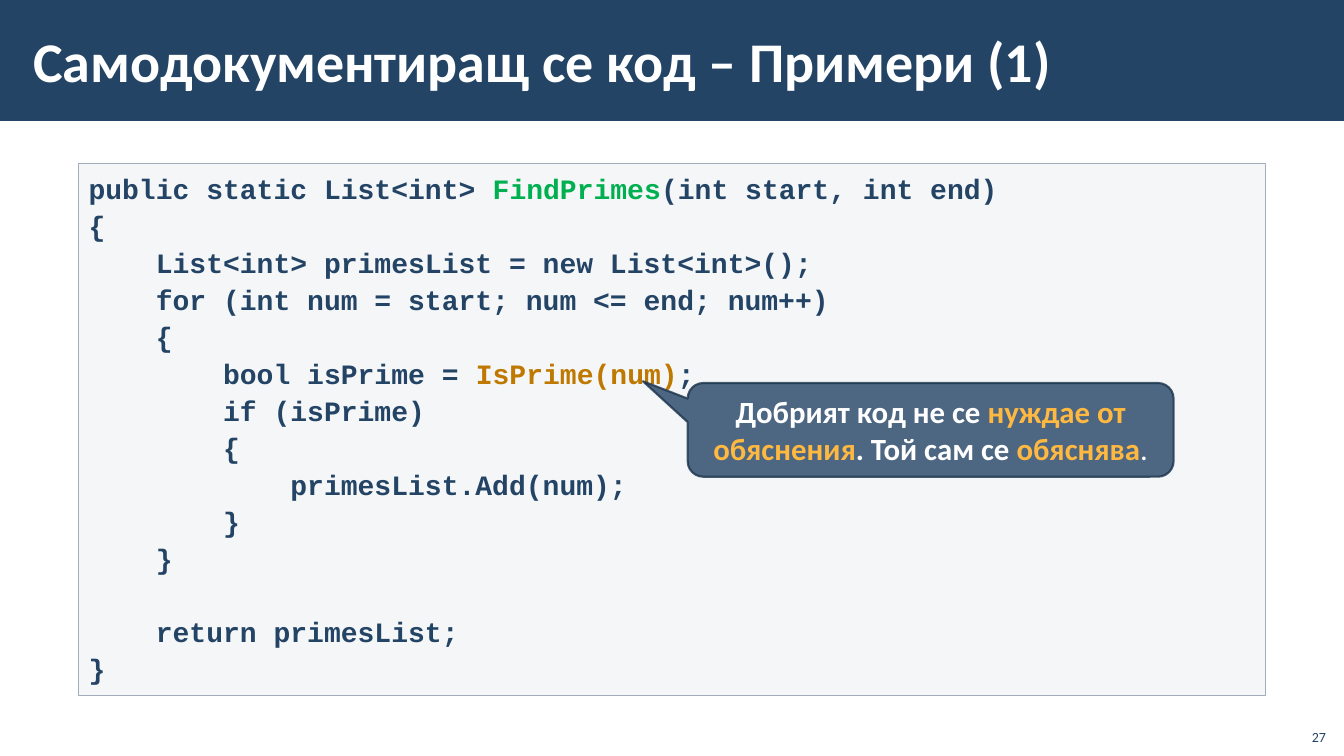
from dataclasses import dataclass
from typing import NamedTuple

from lxml import etree
from pptx import Presentation
from pptx.dml.color import RGBColor
from pptx.enum.shapes import MSO_SHAPE
from pptx.enum.text import MSO_ANCHOR, PP_ALIGN
from pptx.oxml.ns import qn
from pptx.util import Inches, Pt

RECTANGLE = MSO_SHAPE.RECTANGLE
CALLOUT = MSO_SHAPE.ROUNDED_RECTANGULAR_CALLOUT
TOP, MIDDLE, BOTTOM = MSO_ANCHOR.TOP, MSO_ANCHOR.MIDDLE, MSO_ANCHOR.BOTTOM
LEFT, CENTER, RIGHT = PP_ALIGN.LEFT, PP_ALIGN.CENTER, PP_ALIGN.RIGHT


@dataclass(frozen=True)
class Theme:
    navy: str = "234465"
    white: str = "FFFFFF"
    green: str = "00B050"
    amber: str = "BF7800"
    yellow: str = "FFB840"
    panel: str = "C2C7D2"
    panel_line: str = "A3ABBC"
    callout_line: str = "1A334B"
    body_font: str = "Calibri"
    code_font: str = "Courier New"
    title_size: int = 40
    code_size: int = 20
    callout_size: int = 22
    number_size: int = 10


THEME = Theme()


class Box(NamedTuple):
    left: float
    top: float
    width: float
    height: float


class Span(NamedTuple):
    text: str
    color: str
    bold: bool = True


class Paint(NamedTuple):
    color: str
    opacity: int = 100


class TextStyle(NamedTuple):
    font: str
    size: int
    align: PP_ALIGN = LEFT
    anchor: MSO_ANCHOR = TOP
    line_spacing: float = 1.0
    inset_x: float = 0.1
    inset_y: float = 0.05


def apply_paint(color_format, paint: Paint) -> None:
    """Set a solid colour and, when needed, its opacity."""
    color_format.rgb = RGBColor.from_string(paint.color)
    if paint.opacity < 100:
        for color in color_format._xFill.iter(qn("a:srgbClr")):
            etree.SubElement(color, qn("a:alpha"), val=str(paint.opacity * 1000))


def add_panel(slide, kind: MSO_SHAPE, box: Box, fill: Paint,
              line: Paint | None = None, line_width: float = 1):
    shape = slide.shapes.add_shape(kind, *map(Inches, box))
    shape.shadow.inherit = False
    shape.fill.solid()
    apply_paint(shape.fill.fore_color, fill)
    if line is None:
        shape.line.fill.background()
    else:
        shape.line.fill.solid()
        apply_paint(shape.line.fill.fore_color, line)
        shape.line.width = Pt(line_width)
    return shape


def write_text(shape, lines: list[list[Span]], style: TextStyle) -> None:
    text_frame = shape.text_frame
    text_frame.word_wrap = True
    text_frame.vertical_anchor = style.anchor
    text_frame.margin_left = text_frame.margin_right = Inches(style.inset_x)
    text_frame.margin_top = text_frame.margin_bottom = Inches(style.inset_y)
    text_frame.text = "\n".join(spans[0].text for spans in lines)
    for paragraph, spans in zip(text_frame.paragraphs, lines):
        paragraph.alignment = style.align
        paragraph.line_spacing = style.line_spacing
        paragraph.font.size = Pt(style.size)
        for span in spans[1:]:
            paragraph.add_run().text = span.text
        for run, span in zip(paragraph.runs, spans):
            run.font.name = style.font
            run.font.size = Pt(style.size)
            run.font.bold = span.bold
            run.font.color.rgb = RGBColor.from_string(span.color)


def add_text(slide, box: Box, span: Span, style: TextStyle) -> None:
    write_text(slide.shapes.add_textbox(*map(Inches, box)), [[span]], style)


CODE = """public static List<int> FindPrimes(int start, int end)
{
    List<int> primesList = new List<int>();
    for (int num = start; num <= end; num++)
    {
        bool isPrime = IsPrime(num);
        if (isPrime)
        {
            primesList.Add(num);
        }
    }

    return primesList;
}"""
HIGHLIGHTS = {"FindPrimes": THEME.green, "IsPrime(num)": THEME.amber}


def highlight(line: str) -> list[Span]:
    """Split a code line around the highlighted name it contains."""
    for name, color in HIGHLIGHTS.items():
        before, found, after = line.partition(name)
        if found:
            return [Span(before, THEME.navy), Span(found, color), Span(after, THEME.navy)]
    return [Span(line, THEME.navy)]


def main() -> None:
    presentation = Presentation()
    presentation.slide_width = Inches(13.33)
    presentation.slide_height = Inches(7.5)
    slide = presentation.slides.add_slide(presentation.slide_layouts[6])

    # Title band
    add_panel(slide, RECTANGLE, Box(0, 0, 13.33, 1.2), Paint(THEME.navy))
    add_text(slide, Box(0.21, 0.11, 11.23, 0.97),
             Span("Самодокументиращ се код – Примери (1)", THEME.white),
             TextStyle(THEME.body_font, THEME.title_size, anchor=MIDDLE,
                       inset_x=0.12, inset_y=0.04))

    # Code listing
    listing = add_panel(slide, RECTANGLE, Box(0.78, 1.62, 11.77, 5.28),
                        Paint(THEME.panel, 15), Paint(THEME.panel_line))
    write_text(listing, [highlight(line) for line in CODE.split("\n")],
               TextStyle(THEME.code_font, THEME.code_size, line_spacing=1.1))

    # Callout pointing at the IsPrime call
    callout = add_panel(slide, CALLOUT, Box(6.82, 3.8, 4.82, 0.93),
                        Paint(THEME.navy, 80), Paint(THEME.callout_line, 80), 1.5)
    for index, value in enumerate((-0.592, -0.519, 0.167)):
        callout.adjustments[index] = value
    write_text(callout, [[
        Span("Добрият код не се ", THEME.white),
        Span("нуждае от обяснения", THEME.yellow),
        Span(". Той сам се ", THEME.white),
        Span("обяснява", THEME.yellow),
        Span(".", THEME.white, bold=False),
    ]], TextStyle(THEME.body_font, THEME.callout_size, CENTER, MIDDLE))

    # Slide number
    add_text(slide, Box(12.85, 7.12, 0.4, 0.32), Span("27", THEME.navy, bold=False),
             TextStyle(THEME.body_font, THEME.number_size, RIGHT, BOTTOM))

    presentation.save("out.pptx")


if __name__ == "__main__":
    main()
